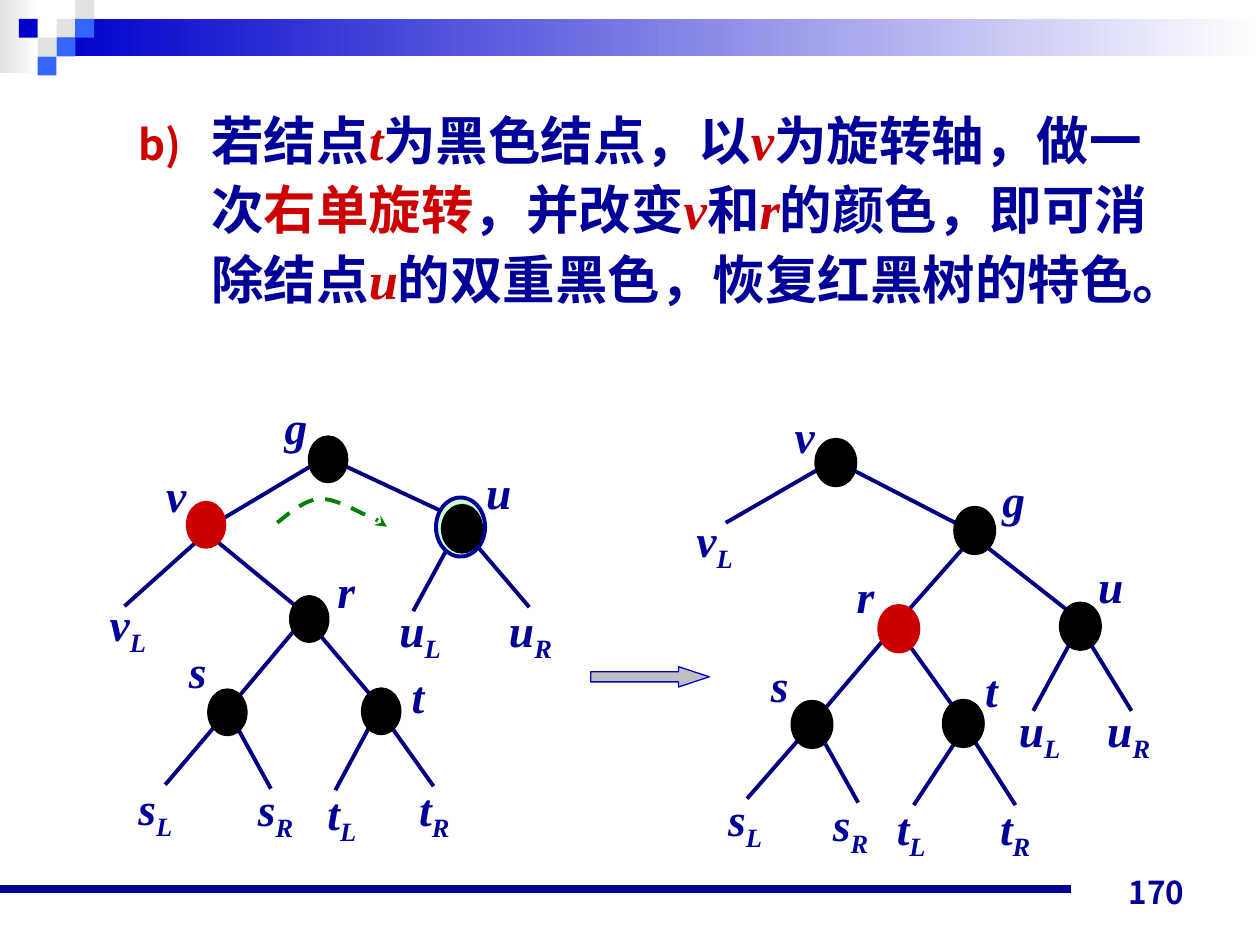
from lxml import etree
from pptx import Presentation
from pptx.dml.color import RGBColor
from pptx.enum.dml import MSO_LINE
from pptx.enum.shapes import MSO_CONNECTOR, MSO_SHAPE
from pptx.enum.text import MSO_ANCHOR, PP_ALIGN
from pptx.oxml.ns import qn
from pptx.util import Cm, Pt

RECT, OVAL, RIGHT_ARROW = MSO_SHAPE.RECTANGLE, MSO_SHAPE.OVAL, MSO_SHAPE.RIGHT_ARROW
STRAIGHT = MSO_CONNECTOR.STRAIGHT
DASH = MSO_LINE.DASH
BOTTOM = MSO_ANCHOR.BOTTOM
RIGHT, JUSTIFY = PP_ALIGN.RIGHT, PP_ALIGN.JUSTIFY
SERIF, SANS = "Times New Roman", "Noto Sans CJK JP"
COLORS = {
    "navy": "000099", "edge": "000080", "blue": "0000CC", "sky": "3366FF",
    "mist": "E1E1E1", "white": "FFFFFF", "red": "CC0000", "black": "000000",
    "mint": "CCFFCC", "green": "008000", "silver": "C0C0C0",
}

RULE = [
    ("若结点", ""), ("t", "var"), ("为黑色结点，以", ""), ("v", "var"),
    ("为旋转轴，做一次", ""), ("右单旋转", "key"), ("，并改变", ""), ("v", "var"),
    ("和", ""), ("r", "var"), ("的颜色，即可消除结点", ""), ("u", "var"),
    ("的双重黑色，恢复红黑树的特色。", ""),
]
BEFORE = {
    "node_size": (0.79, 0.94),
    "nodes": {"g": (6.22, 8.79), "v": (3.76, 10.11), "r": (5.84, 12.01),
              "u": (8.92, 10.19), "s": (4.19, 13.89), "t": (7.29, 13.87)},
    "red": "v",
    "double_black": "u",
    "edges": [
        (6.86, 9.35, 9.02, 10.36), (9.12, 10.87, 8.33, 12.32),
        (9.5, 10.87, 10.67, 12.24), (6.43, 12.78, 7.52, 14.07),
        (4.32, 10.87, 5.99, 12.24), (6.48, 9.27, 4.52, 10.44),
        (4.04, 10.85, 2.51, 12.22), (5.94, 12.7, 4.85, 14),
        (4.78, 14.66, 5.46, 15.9), (4.45, 14.5, 3.33, 15.82),
        (7.87, 14.63, 8.74, 15.85), (7.54, 14.48, 6.76, 15.93),
    ],
    "labels": {
        "g": (5.49, 7.92), "v": (3.1, 9.3), "u": (9.55, 9.22), "r": (6.55, 11.23),
        "s": (3.56, 12.83), "t": (8.05, 13.34), "vL": (1.96, 11.89),
        "uL": (7.8, 12.01), "uR": (10.01, 12.01), "sL": (2.54, 15.6),
        "sR": (4.95, 15.62), "tL": (6.35, 15.7), "tR": (8.2, 15.62),
    },
}
AFTER = {
    "node_size": (0.84, 0.97),
    "nodes": {"v": (16.43, 8.84), "g": (19.23, 10.21), "r": (17.7, 12.19),
              "u": (21.36, 12.14), "s": (15.95, 14.12), "t": (19, 14.1)},
    "red": "r",
    "double_black": None,
    "edges": [
        (17.09, 9.42, 19.41, 10.62), (19.46, 11, 18.03, 12.62),
        (19.86, 11, 21.54, 12.32), (18.31, 12.98, 19.33, 14.4),
        (21.89, 12.83, 22.81, 14.33), (16.69, 9.35, 14.63, 10.54),
        (21.59, 12.93, 20.83, 14.33), (17.81, 12.9, 16.66, 14.25),
        (16.59, 14.91, 17.3, 16.18), (16.23, 14.76, 15.06, 16.1),
        (19.51, 14.73, 20.47, 16.23), (19.41, 14.73, 18.42, 16.23),
    ],
    "labels": {
        "g": (19.96, 9.4), "v": (15.77, 8.1), "u": (21.89, 11.13), "r": (17.02, 11.33),
        "s": (15.29, 13.13), "t": (19.61, 13.23), "vL": (13.79, 10.19),
        "uL": (20.29, 14.02), "uR": (22.07, 14.02), "sL": (14.43, 15.82),
        "sR": (16.54, 15.93), "tL": (17.83, 16), "tR": (19.91, 16),
    },
}
ROTATION = [
    [(5.59, 10.54), (5.87, 10.31), (6.15, 10.08), (6.43, 10.06)],
    [(6.43, 10.06), (6.73, 10.03), (7.16, 10.29), (7.39, 10.39)],
    [(7.39, 10.39), (7.62, 10.46), (7.72, 10.59), (7.8, 10.62)],
]


def bezier(curve, t):
    weights = ((1 - t) ** 3, 3 * t * (1 - t) ** 2, 3 * t * t * (1 - t), t ** 3)
    return tuple(Cm(sum(w * point[axis] for w, point in zip(weights, curve)))
                 for axis in (0, 1))


class Board:
    def __init__(self, slide):
        self.slide = slide
        self.shapes = slide.shapes

    def color(self, name):
        return RGBColor.from_string(COLORS[name])

    def shape(self, kind, box, fill, line=None, width=0.75):
        shape = self.shapes.add_shape(kind, *map(Cm, box))
        shape.shadow.inherit = False
        if isinstance(fill, tuple):
            shape.fill.gradient()
            shape.fill.gradient_angle = 0
            for stop, name in zip(shape.fill.gradient_stops, fill):
                stop.color.rgb = self.color(name)
        else:
            shape.fill.solid()
            shape.fill.fore_color.rgb = self.color(fill)
        if line:
            shape.line.color.rgb = self.color(line)
            shape.line.width = Pt(width)
        else:
            shape.line.fill.background()
        return shape

    def line(self, ends, color, width):
        line = self.shapes.add_connector(STRAIGHT, *map(Cm, ends))
        line.line.color.rgb = self.color(color)
        line.line.width = Pt(width)
        etree.SubElement(line._element.spPr, qn("a:effectLst"))

    def text(self, box):
        frame = self.shapes.add_textbox(*map(Cm, box)).text_frame
        frame.word_wrap = True
        return frame

    def style(self, paragraph, size, face=SERIF, italic=None):
        font = paragraph.font
        font.name, font.size, font.bold, font.italic = face, Pt(size), True, italic
        font.color.rgb = self.color("navy")

    def label(self, name, place):
        paragraph = self.text((*place, 2.4, 2.16)).paragraphs[0]
        paragraph.alignment = JUSTIFY
        self.style(paragraph, 26, italic=True)
        paragraph.add_run().text = name[0]
        if name[1:]:
            subscript = paragraph.add_run()
            subscript.text = name[1:]
            subscript.font._element.set("baseline", "-25000")

    def rule(self, box, runs):
        paragraph = self.text(box).paragraphs[0]
        paragraph.line_spacing = 1.1
        props = paragraph._p.get_or_add_pPr()
        props.set("marL", str(Cm(2.74)))
        props.set("indent", str(Cm(-1.47)))
        bullet_color = etree.SubElement(props, qn("a:buClr"))
        etree.SubElement(bullet_color, qn("a:srgbClr"), val=COLORS["red"])
        etree.SubElement(props, qn("a:buSzPct"), val="80000")
        etree.SubElement(props, qn("a:buFont"), typeface=SANS)
        etree.SubElement(props, qn("a:buAutoNum"), type="alphaLcParenR", startAt="2")
        self.style(paragraph, 30)
        for words, role in runs:
            run = paragraph.add_run()
            run.text = words
            if role:
                run.font.color.rgb = self.color("red")
            if role == "var":
                run.font.italic = True

    def tree(self, tree):
        for ends in tree["edges"]:
            self.line(ends, "edge", 2.25)
        for name, (x, y) in tree["nodes"].items():
            doubled = name == tree["double_black"]
            if doubled:
                self.shape(OVAL, (x - 0.13, y - 0.16, 0.99, 1.19), "mint", "navy", 2.25)
            color = "red" if name == tree["red"] else "black"
            self.shape(OVAL, (x, y, *tree["node_size"]), color, color,
                       1.75 if doubled else 0.75)
        for name, place in tree["labels"].items():
            self.label(name, place)

    def curved_arrow(self, curves, color):
        points = [bezier(curve, step / 8) for curve in curves for step in range(1, 9)]
        builder = self.shapes.build_freeform(*bezier(curves[0], 0))
        builder.add_line_segments(points, close=False)
        arrow = builder.convert_to_shape()
        arrow.shadow.inherit = False
        arrow.fill.background()
        arrow.line.color.rgb = self.color(color)
        arrow.line.width = Pt(2.25)
        arrow.line.dash_style = DASH
        etree.SubElement(arrow.line._get_or_add_ln(), qn("a:tailEnd"), type="stealth")

    def banner(self):
        cell = 0.38
        self.shape(RECT, (0, 0, 0.79, 1.47), ("mist", "white"))
        self.shape(RECT, (1.14, cell, 24.26, 0.76), ("blue", "white"))
        for column, row, color in [(3, 1, "mist"), (4, 0, "mist"), (4, 1, "sky"),
                                   (2, 2, "mist"), (1, 1, "blue"), (3, 2, "sky"),
                                   (2, 3, "sky")]:
            self.shape(RECT, (column * cell, row * cell, cell, cell), color)

    def footer(self, number):
        self.line((0, 17.93, 21.59, 17.93), "navy", 4.5)
        frame = self.text((18.21, 17.22, 5.92, 1.27))
        frame.vertical_anchor = BOTTOM
        paragraph = frame.paragraphs[0]
        paragraph.alignment = RIGHT
        self.style(paragraph, 18, SANS)
        paragraph.add_run().text = number


def main():
    deck = Presentation()
    deck.slide_width, deck.slide_height = Cm(25.4), Cm(19.05)
    board = Board(deck.slides.add_slide(deck.slide_layouts[6]))
    board.banner()
    board.footer("170")
    board.rule((1.27, 1.93, 22.86, 6.3), RULE)
    board.tree(BEFORE)
    board.curved_arrow(ROTATION, "green")
    board.tree(AFTER)
    becomes = board.shape(RIGHT_ARROW, (11.91, 13.44, 2.39, 0.41), "silver", "blue")
    becomes.adjustments[1] = 1.515
    deck.save("out.pptx")


if __name__ == "__main__":
    main()
